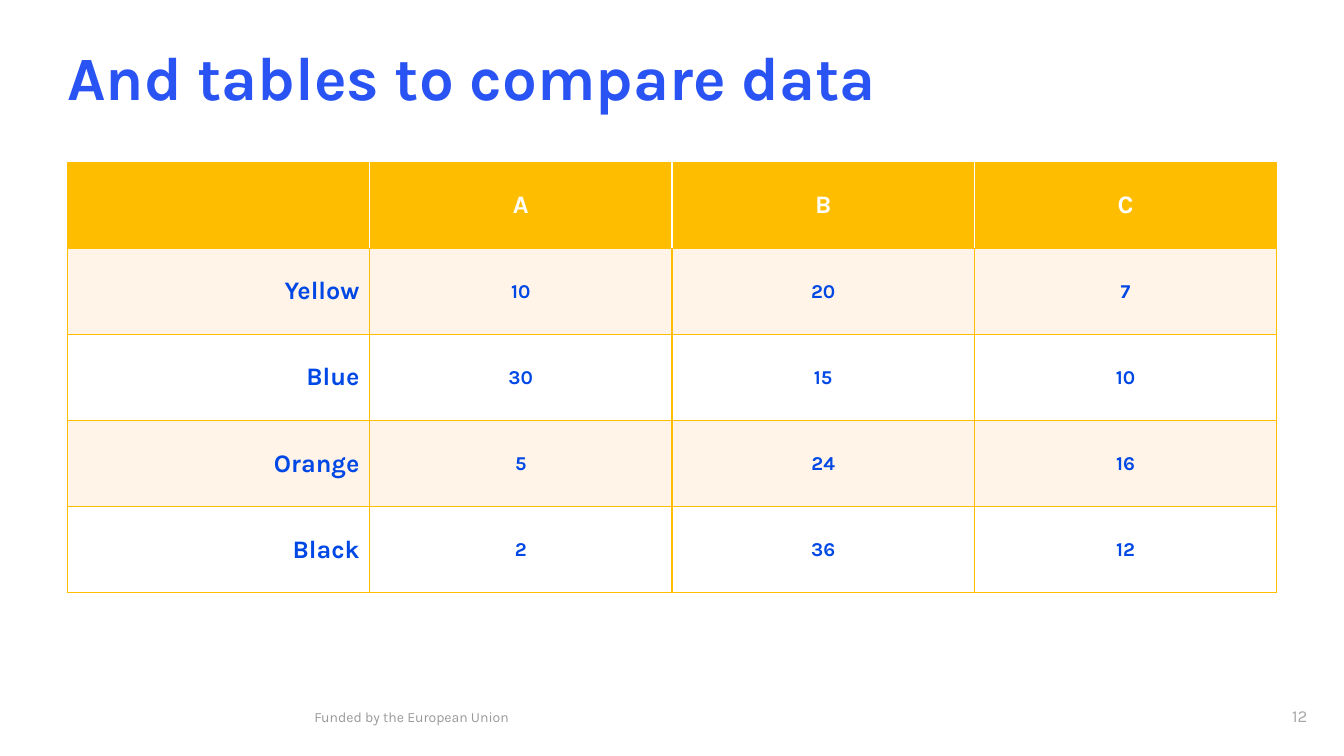
import pptx
import pptx.util
import pptx.dml.color
import pptx.enum.text
import pptx.oxml
import pptx.oxml.ns

Pt = pptx.util.Pt
ALIGN = pptx.enum.text.PP_ALIGN
ANCHOR = pptx.enum.text.MSO_ANCHOR

TITLE = "And tables to compare data"
ROWS = [
    ("", "A", "B", "C"),
    ("Yellow", "10", "20", "7"),
    ("Blue", "30", "15", "10"),
    ("Orange", "5", "24", "16"),
    ("Black", "2", "36", "12"),
]
FOOTER = "Funded by the European Union"
NUMBER = "12"

FONT = "Karla"
COLORS = {
    "title": "2953F3", "text": "0048E5", "white": "FFFFFF",
    "gold": "FFBD00", "cream": "FFF4E7",
    "footer": "999999", "number": "A6A6A6",
}
LEFT, WIDTH = 48, 864
TABLE_TOP, ROW_H = 116, 61.5


def rgb(name):
    return pptx.dml.color.RGBColor.from_string(COLORS[name])


def style(para, size, color, align=ALIGN.LEFT, bold=False):
    para.alignment = align
    font = para.font
    font.name, font.size, font.bold = FONT, Pt(size), bold
    font.color.rgb = rgb(color)


def inset(box, left, top, right, bottom):
    box.margin_left, box.margin_top = Pt(left), Pt(top)
    box.margin_right, box.margin_bottom = Pt(right), Pt(bottom)


def border(cell, side, color):
    """Add a 1 pt line; call in the order L, R, T, B and before the fill."""
    cell._tc.get_or_add_tcPr().append(pptx.oxml.parse_xml(
        f'<a:ln{side} {pptx.oxml.ns.nsdecls("a")} w="{Pt(1)}"><a:solidFill>'
        f'<a:srgbClr val="{COLORS[color]}"/></a:solidFill></a:ln{side}>'))


def add_label(slide, text, place, size, color, align=ALIGN.LEFT):
    frame = slide.shapes.add_textbox(*map(Pt, place)).text_frame
    frame.word_wrap = True
    frame.text = text
    style(frame.paragraphs[0], size, color, align)
    return frame


def add_title(slide):
    title = slide.shapes.title
    title.left, title.top = Pt(LEFT), Pt(39.6)
    title.width, title.height = Pt(WIDTH), Pt(41.8)
    frame = title.text_frame
    frame.text = TITLE
    frame.vertical_anchor = ANCHOR.BOTTOM
    frame.auto_size = pptx.enum.text.MSO_AUTO_SIZE.NONE
    inset(frame, 0, 0, 0, 0)
    para = frame.paragraphs[0]
    para.line_spacing = 0.9
    style(para, 44, "title", bold=True)


def fill_cell(cell, text, row, col, last):
    head = row == 0
    cell.text = text
    cell.vertical_anchor = ANCHOR.MIDDLE
    inset(cell, 7.2, 5, 7.2, 5)
    style(cell.text_frame.paragraphs[0],
          18 if head or col == 0 else 14,
          "white" if head else "text",
          ALIGN.CENTER if head or col else ALIGN.RIGHT, True)
    border(cell, "L", "white" if head and col > 0 else "gold")
    border(cell, "R", "white" if head and col < last else "gold")
    border(cell, "T", "gold")
    border(cell, "B", "gold")
    cell.fill.solid()
    cell.fill.fore_color.rgb = rgb(
        "gold" if head else "cream" if row % 2 else "white")


def add_grid(slide):
    count = len(ROWS[0])
    table = slide.shapes.add_table(
        len(ROWS), count, Pt(LEFT), Pt(TABLE_TOP),
        Pt(WIDTH), Pt(ROW_H * len(ROWS))).table
    for column in table.columns:
        column.width = Pt(WIDTH / count)
    for row, texts in enumerate(ROWS):
        table.rows[row].height = Pt(ROW_H)
        for col, text in enumerate(texts):
            fill_cell(table.cell(row, col), text, row, col, count - 1)


def main():
    deck = pptx.Presentation()
    deck.slide_width, deck.slide_height = Pt(960), Pt(540)
    slide = deck.slides.add_slide(deck.slide_layouts[5])
    add_label(slide, FOOTER, (217.4, 502.6, 406.8, 19.4), 10, "footer")
    add_title(slide)
    add_grid(slide)
    number = add_label(slide, NUMBER, (879.8, 485.3, 54, 54.7), 12,
                       "number", ALIGN.RIGHT)
    number.vertical_anchor = ANCHOR.MIDDLE
    inset(number, 7.2, 3.6, 0, 5.8)
    deck.save("out.pptx")


if __name__ == "__main__":
    main()
